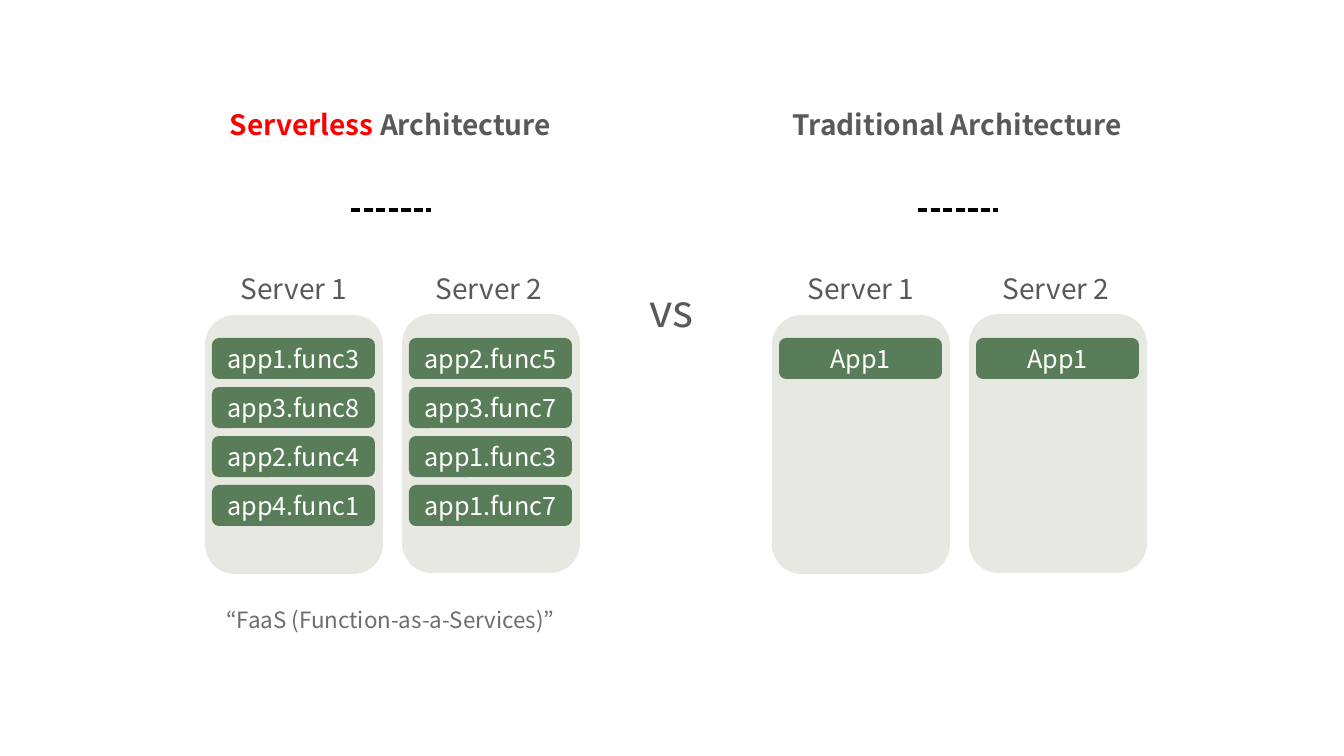
from lxml.etree import SubElement
from pptx import Presentation
from pptx.dml.color import RGBColor
from pptx.enum.dml import MSO_LINE
from pptx.enum.shapes import MSO_CONNECTOR, MSO_SHAPE
from pptx.enum.text import MSO_ANCHOR, PP_ALIGN
from pptx.oxml.ns import qn
from pptx.util import Pt

GRAY = RGBColor(0x59, 0x59, 0x59)
RED = RGBColor(0xFF, 0x00, 0x00)
WHITE = RGBColor(0xFF, 0xFF, 0xFF)
BLACK = RGBColor(0x00, 0x00, 0x00)
GREEN = RGBColor(0x5A, 0x7D, 0x59)
SERVER_FILL = RGBColor(0xE7, 0xE8, 0xE2)
CAPTION_GRAY = RGBColor(0x72, 0x6B, 0x6B)
FONT = "Noto Sans CJK KR"
PX = 914400 / 100.8
APP_PITCH = 49

# left edge, title runs, apps on each server
ARCHITECTURES = [
    (181, [("Serverless", RED), (" Architecture", GRAY)],
     [["app1.func3", "app3.func8", "app2.func4", "app4.func1"],
      ["app2.func5", "app3.func7", "app1.func3", "app1.func7"]]),
    (748, [("Traditional Architecture", GRAY)], [["App1"], ["App1"]]),
]
# offsets from the left edge of the architecture: label, box, apps; then box top
SERVERS = [(24, 24, 31, 315), (219, 221, 228, 314)]

presentation = Presentation()
presentation.slide_width = round(1344 * PX)
presentation.slide_height = round(756 * PX)
slide = presentation.slides.add_slide(presentation.slide_layouts[6])


def add_text(box, runs, size, bold=False, spacing=1.0, anchor=MSO_ANCHOR.TOP, fill=None):
    """Put centred runs of (text, colour) in a text box, or in a rounded box if filled."""
    position = [round(length * PX) for length in box]
    if fill is None:
        shape = slide.shapes.add_textbox(*position)
    else:
        shape = add_rounded_box(box, fill)
    frame = shape.text_frame
    frame.word_wrap = True
    frame.vertical_anchor = anchor
    paragraph = frame.paragraphs[0]
    paragraph.alignment = PP_ALIGN.CENTER
    paragraph.line_spacing = spacing
    for text, color in runs:
        run = paragraph.add_run()
        run.text = text
        run.font.name = FONT
        run.font.size = Pt(size)
        run.font.bold = bold
        run.font.color.rgb = color


def add_rounded_box(box, fill):
    position = [round(length * PX) for length in box]
    shape = slide.shapes.add_shape(MSO_SHAPE.ROUNDED_RECTANGLE, *position)
    shape.shadow.inherit = False
    shape.fill.solid()
    shape.fill.fore_color.rgb = fill
    shape.line.fill.background()
    return shape


for left, title, server_apps in ARCHITECTURES:
    add_text((left, 86, 419, 56), title, 20, bold=True, spacing=1.5)

    ends = [round(length * PX) for length in (left + 170, 210, left + 250, 210)]
    divider = slide.shapes.add_connector(MSO_CONNECTOR.STRAIGHT, *ends)
    divider.line.color.rgb = BLACK
    divider.line.width = Pt(2.25)
    divider.line.dash_style = MSO_LINE.SQUARE_DOT
    SubElement(divider._element.spPr, qn("a:effectLst"))

    for number, (offsets, apps) in enumerate(zip(SERVERS, server_apps), start=1):
        label_x, box_x, app_x, box_top = offsets
        add_text((left + label_x, 250, 178, 65), [(f"Server {number}", GRAY)], 20, spacing=1.5)
        add_rounded_box((left + box_x, box_top, 178, 259), SERVER_FILL)
        for row, app in enumerate(apps):
            add_text((left + app_x, 338 + row * APP_PITCH, 163, 41), [(app, WHITE)], 18,
                     anchor=MSO_ANCHOR.MIDDLE, fill=GREEN)

add_text((614, 258, 115, 110), [("vs", GRAY)], 32, spacing=0.9, anchor=MSO_ANCHOR.MIDDLE)
add_text((176, 604, 429, 67), [("“FaaS (Function-as-a-Services)”", CAPTION_GRAY)], 16, spacing=0.9)

presentation.save("out.pptx")
